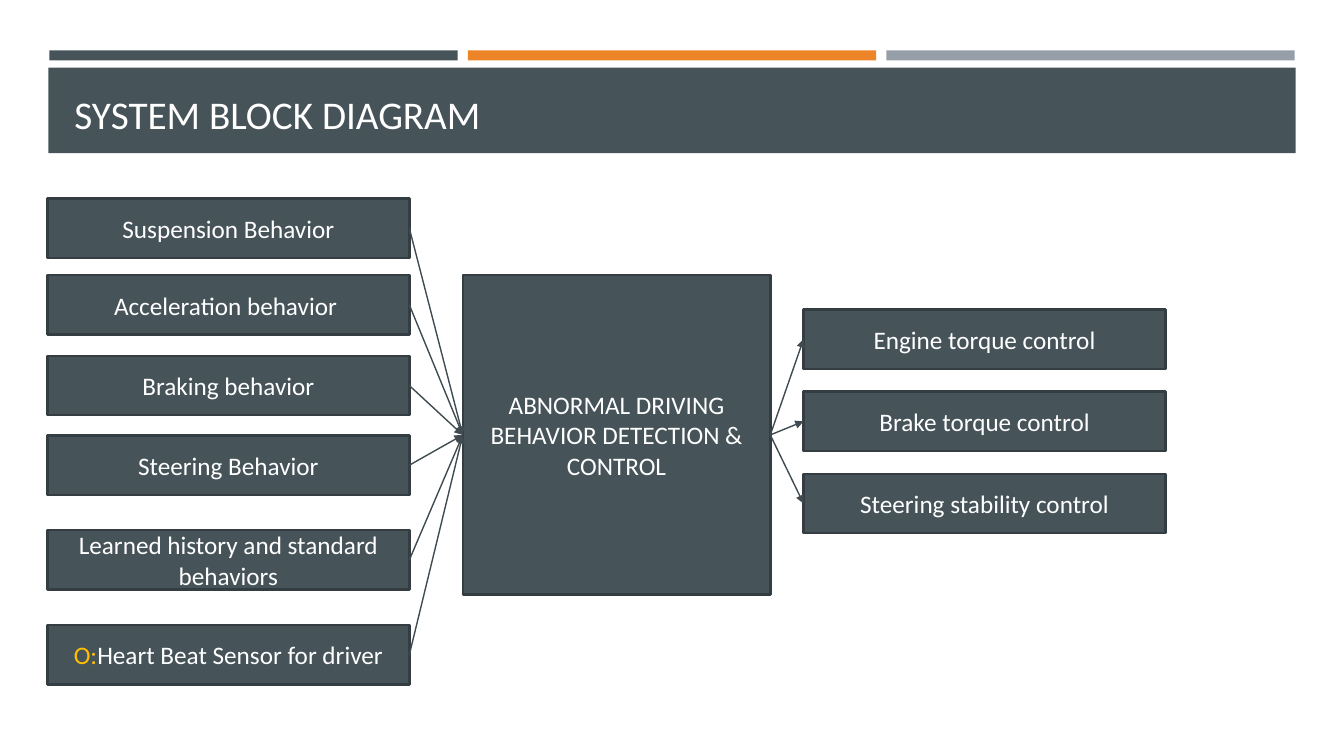
from lxml import etree
from pptx import Presentation, util as u
from pptx.dml.color import RGBColor
from pptx.enum import shapes, text
from pptx.oxml import ns

SLATE, OUTLINE, ARROW = "465359", "343D42", "3F4B50"
ORANGE, GREY, WHITE, AMBER = "ED8428", "969FA7", "FFFFFF", "FFC000"

BLOCK_WIDTH, BLOCK_HEIGHT = 3.59, 0.59
LEFT_SITE, RIGHT_SITE = 1, 3

INPUTS = [
    (1.97, [("Suspension Behavior", WHITE)]),
    (2.73, [("Acceleration behavior ", WHITE)]),
    (3.53, [("Braking behavior", WHITE)]),
    (4.32, [("Steering Behavior", WHITE)]),
    (5.26, [("Learned history and standard behaviors", WHITE)]),
    (6.2, [("O:", AMBER), ("Heart Beat Sensor for driver", WHITE)]),
]
OUTPUTS = ["Engine torque control", "Brake torque control", "Steering stability control"]


def color(hex_code):
    return RGBColor.from_string(hex_code)


def apply(target, formats):
    for name, value in formats.items():
        setattr(target, name, value)


def write(holder, runs, size, anchor, align):
    frame = holder.text_frame
    apply(frame, {"word_wrap": True, "vertical_anchor": anchor})
    paragraph = frame.paragraphs[0]
    paragraph.alignment = align
    for words, hex_code in runs:
        run = paragraph.add_run()
        run.text = words
        apply(run.font, {"name": "Calibri", "size": u.Pt(size)})
        run.font.color.rgb = color(hex_code)


def add_bar(slide, box, fill):
    bar = slide.shapes.add_shape(shapes.MSO_SHAPE.RECTANGLE, *map(u.Inches, box))
    bar.shadow.inherit = False
    bar.fill.solid()
    bar.fill.fore_color.rgb = color(fill)
    bar.line.fill.background()
    return bar


def add_block(slide, box, runs):
    block = add_bar(slide, box, SLATE)
    block.line.color.rgb = color(OUTLINE)
    block.line.width = u.Pt(1.75)
    write(block, runs, 18, text.MSO_ANCHOR.MIDDLE, text.PP_ALIGN.CENTER)
    return block


def add_arrow(slide, source, target):
    arrow = slide.shapes.add_connector(shapes.MSO_CONNECTOR.STRAIGHT, 0, 0, 0, 0)
    arrow.begin_connect(source, RIGHT_SITE)
    arrow.end_connect(target, LEFT_SITE)
    arrow.line.color.rgb = color(ARROW)
    arrow.line.width = u.Pt(1)
    etree.SubElement(arrow.line._get_or_add_ln(), ns.qn("a:tailEnd"), type="triangle")
    etree.SubElement(arrow._element.spPr, ns.qn("a:effectLst"))


def add_header(slide):
    for column, fill in enumerate((SLATE, ORANGE, GREY)):
        add_bar(slide, (0.49 + 4.15 * column, 0.5, 4.05, 0.1), fill)
    add_bar(slide, (0.48, 0.67, 12.37, 0.85), SLATE)
    title = slide.shapes.add_textbox(*map(u.Inches, (0.64, 0.77, 12.06, 0.64)))
    write(title, [("SYSTEM BLOCK DIAGRAM", WHITE)], 28,
          text.MSO_ANCHOR.BOTTOM, text.PP_ALIGN.LEFT)


def add_diagram(slide):
    detection = add_block(slide, (4.59, 2.73, 3.05, 3.17),
                          [("ABNORMAL DRIVING BEHAVIOR DETECTION & CONTROL", WHITE)])
    for top, runs in INPUTS:
        behavior = add_block(slide, (0.47, top, BLOCK_WIDTH, BLOCK_HEIGHT), runs)
        add_arrow(slide, behavior, detection)
    for row, label in enumerate(OUTPUTS):
        box = (7.97, 3.07 + 0.815 * row, BLOCK_WIDTH, BLOCK_HEIGHT)
        control = add_block(slide, box, [(label, WHITE)])
        add_arrow(slide, detection, control)


def main():
    deck = Presentation()
    apply(deck, {"slide_width": u.Inches(13.33), "slide_height": u.Inches(7.5)})
    slide = deck.slides.add_slide(deck.slide_layouts[6])
    add_header(slide)
    add_diagram(slide)
    deck.save("out.pptx")


main()
